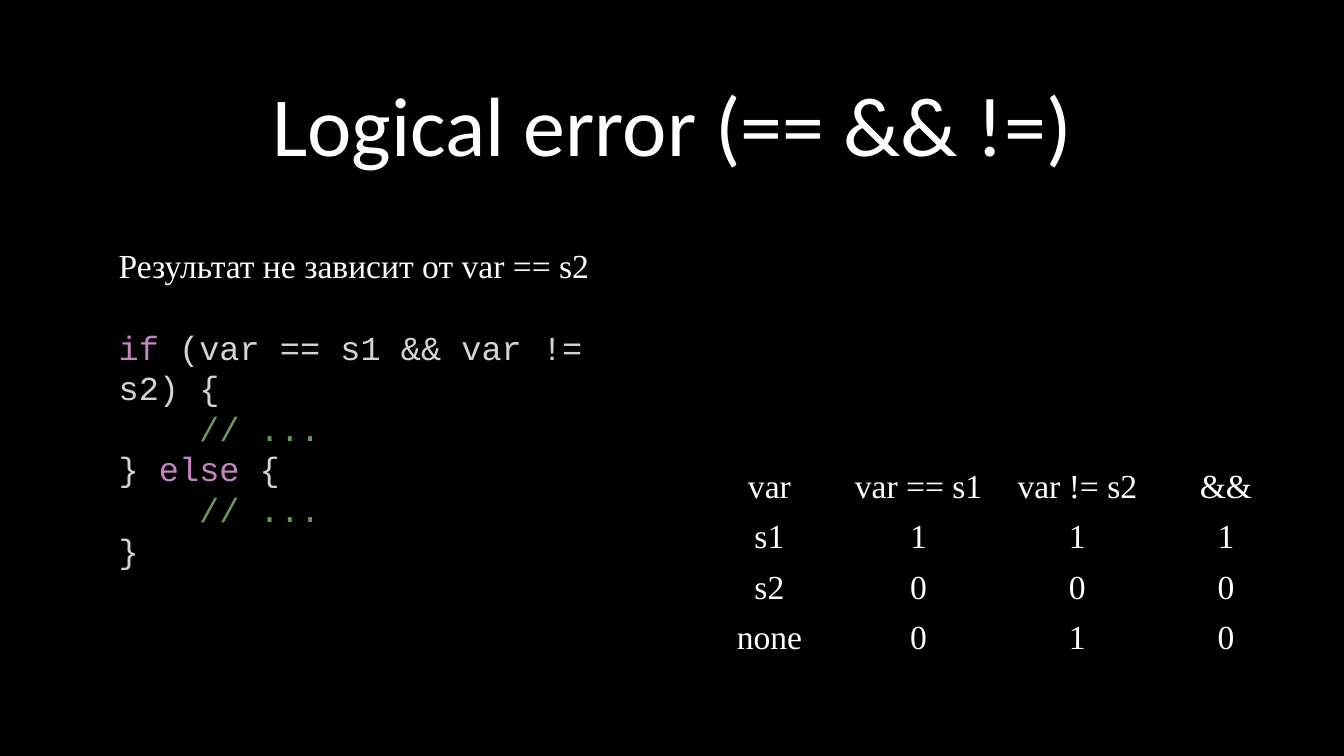
"""Build a slide on a logical error, with code and its truth table."""
from pptx import Presentation
from pptx.dml.color import RGBColor
from pptx.enum.text import MSO_ANCHOR, PP_ALIGN
from pptx.util import Cm, Pt

WHITE, GREY, PINK, GREEN = "FFFFFF", "D4D4D4", "C586C0", "6A9955"
SERIF, MONO = "Times New Roman", "Courier New"
NO_GRID = "{2D5ABB26-0587-4C30-8999-92F81FD0307C}"


def paint(color, value):
    color.rgb = RGBColor.from_string(value)


class Page:
    def __init__(self, slide, size=24):
        self.slide = slide
        self.size = size
        fill = slide.background.fill
        fill.solid()
        paint(fill.fore_color, "000000")

    def style(self, para, face, size=None, color=WHITE):
        para.font.name = face
        para.font.size = Pt(size or self.size)
        paint(para.font.color, color)

    def frame(self, left, top, width, height):
        box = self.slide.shapes.add_textbox(Cm(left), Cm(top), Cm(width), Cm(height))
        box.text_frame.word_wrap = True
        return box.text_frame

    def title(self, text, *place):
        frame = self.frame(*place)
        frame.vertical_anchor = MSO_ANCHOR.BOTTOM
        para = frame.paragraphs[0]
        para.text = text
        para.alignment = PP_ALIGN.CENTER
        para.line_spacing = 0.9
        self.style(para, "Calibri", 60)

    def code(self, lead, lines, *place):
        frame = self.frame(*place)
        para = frame.paragraphs[0]
        para.text = lead
        para.line_spacing = Pt(29)
        self.style(para, SERIF)
        for index, line in enumerate(lines):
            para = frame.add_paragraph()
            para.line_spacing = Pt(29)
            if index == 0:
                para.space_before = Pt(29)
            self.style(para, MONO, color=line[0][1])
            for text, color in line:
                run = para.add_run()
                run.text = text
                paint(run.font.color, color)

    def table(self, data, left, top, widths, heights):
        shape = self.slide.shapes.add_table(
            len(data), len(widths), Cm(left), Cm(top),
            Cm(sum(widths)), Cm(sum(heights)))
        grid = shape.table
        grid.first_row = grid.horz_banding = False
        grid._tbl.tblPr.find("{*}tableStyleId").text = NO_GRID
        for col, width in zip(grid.columns, widths):
            col.width = Cm(width)
        for row, height, texts in zip(grid.rows, heights, data):
            row.height = Cm(height)
            for cell, text in zip(row.cells, texts):
                cell.fill.background()
                para = cell.text_frame.paragraphs[0]
                para.text = text
                para.alignment = PP_ALIGN.CENTER
                self.style(para, SERIF)


def main():
    deck = Presentation()
    deck.slide_width, deck.slide_height = Cm(33.87), Cm(19.05)
    page = Page(deck.slides.add_slide(deck.slide_layouts[6]))
    page.title("Logical error (== && !=)", 4.42, 1.3, 25.04, 3.23)
    note = [("    ", GREY), ("// ...", GREEN)]
    lines = [
        [("if", PINK), (" (var == s1 && var != s2) {", GREY)],
        note,
        [("} ", GREY), ("else", PINK), (" {", GREY)],
        note,
        [("}", GREY)],
    ]
    page.code("Результат не зависит от var == s2", lines, 2.74, 6.05, 14.2, 7.44)
    data = [
        ("var", "var == s1", "var != s2", "&&"),
        ("s1", "1", "1", "1"),
        ("s2", "0", "0", "0"),
        ("none", "0", "1", "0"),
    ]
    page.table(data, 17.7, 11.68, [3.38, 4.14, 3.86, 3.63], [1.27] * 3 + [1.85])
    deck.save("out.pptx")


if __name__ == "__main__":
    main()
